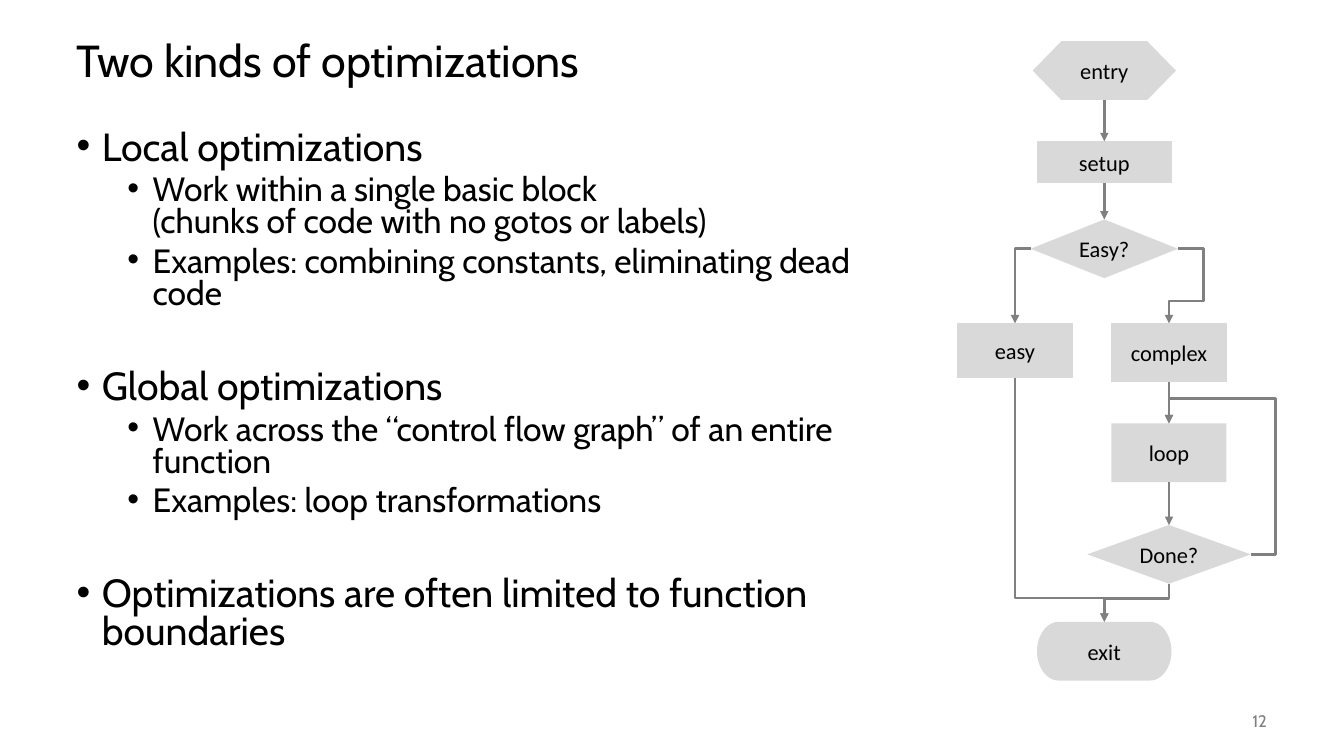
import pptx
import pptx.dml.color
import pptx.enum.shapes
import pptx.enum.text
import pptx.oxml
import pptx.oxml.ns
import pptx.util
from dataclasses import dataclass

Cm = pptx.util.Cm
Pt = pptx.util.Pt
qn = pptx.oxml.ns.qn
RGB = pptx.dml.color.RGBColor.from_string
Align = pptx.enum.text.PP_ALIGN
Anchor = pptx.enum.text.MSO_ANCHOR
Shape = pptx.enum.shapes.MSO_SHAPE
Connector = pptx.enum.shapes.MSO_CONNECTOR


@dataclass(frozen=True)
class Theme:
    text: str = "000000"
    node: str = "D9D9D9"
    line: str = "808080"
    font: str = "Cabin"
    node_font: str = "Calibri"
    title_size: int = 32
    topic_size: int = 28
    detail_size: int = 24
    node_size: int = 16
    number_size: int = 12
    line_width: int = 2


theme = Theme()
TOP, LEFT, BOTTOM, RIGHT = range(4)

presentation = pptx.Presentation()
presentation.slide_width = Cm(33.87)
presentation.slide_height = Cm(19.05)
slide = presentation.slides.add_slide(presentation.slide_layouts[6])


def set_font(paragraph, name, size, color):
    for attribute, value in {"name": name, "size": Pt(size)}.items():
        setattr(paragraph.font, attribute, value)
    paragraph.font.color.rgb = RGB(color)


def style_connector(connector):
    """Give a connector its grey line and arrowhead, and take off its shadow."""
    connector.line.color.rgb = RGB(theme.line)
    connector.line.width = Pt(theme.line_width)
    line = connector.line._ln
    line.append(line.makeelement(qn("a:tailEnd"), {"type": "triangle"}))
    properties = connector._element.spPr
    properties.append(properties.makeelement(qn("a:effectLst"), {}))


# Title and slide number
labels = [
    ("Two kinds of optimizations", (1.68, 0.64, 30.48, 1.9),
     theme.title_size, theme.text, {"line_spacing": 0.9}),
    ("12", (29.64, 17.65, 2.54, 1.02),
     theme.number_size, theme.line, {"alignment": Align.RIGHT}),
]
for text, box, size, color, formats in labels:
    frame = slide.shapes.add_textbox(*map(Cm, box)).text_frame
    frame.word_wrap = True
    frame.vertical_anchor = Anchor.MIDDLE
    paragraph = frame.paragraphs[0]
    paragraph.text = text
    for attribute, value in formats.items():
        setattr(paragraph, attribute, value)
    set_font(paragraph, theme.font, size, color)

# Bulleted text: level, space before, text
bullets = [
    (0, 0, "Local optimizations"),
    (1, 5, "Work within a single basic block\v(chunks of code with no gotos or labels)"),
    (1, 5, "Examples: combining constants, eliminating dead code"),
    (0, 42, "Global optimizations"),
    (1, 5, "Work across the “control flow graph” of an entire function"),
    (1, 5, "Examples: loop transformations"),
    (0, 42, "Optimizations are often limited to function boundaries"),
]
indent = Cm(0.64)
body = slide.shapes.add_textbox(Cm(1.68), Cm(3.18), Cm(21.59), Cm(13.97)).text_frame
body.word_wrap = True
for index, (level, space, text) in enumerate(bullets):
    paragraph = body.add_paragraph() if index else body.paragraphs[0]
    paragraph.text = text
    properties = paragraph._p.get_or_add_pPr()
    properties.set("marL", str(indent * (1 + 2 * level)))
    properties.set("indent", str(-indent))
    properties.append(properties.makeelement(qn("a:buFont"), {"typeface": "Arial"}))
    properties.append(properties.makeelement(qn("a:buChar"), {"char": "•"}))
    formats = {"level": level, "line_spacing": 0.8, "space_before": Pt(space)}
    for attribute, value in formats.items():
        setattr(paragraph, attribute, value)
    size = theme.detail_size if level else theme.topic_size
    set_font(paragraph, theme.font, size, theme.text)

# Flowchart nodes: text, preset, column centre, top, width, height
main, left_branch, right_branch = 27.83, 25.58, 29.46
nodes = [
    ("entry", Shape.FLOWCHART_PREPARATION, main, 1.04, 3.61, 1.48),
    ("setup", Shape.FLOWCHART_PROCESS, main, 3.56, 3.39, 1.06),
    ("Easy?", Shape.FLOWCHART_DECISION, main, 5.53, 3.71, 1.48),
    ("easy", Shape.FLOWCHART_PROCESS, left_branch, 8.15, 2.9, 1.38),
    ("complex", Shape.FLOWCHART_PROCESS, right_branch, 8.15, 2.9, 1.48),
    ("loop", Shape.RECTANGLE, right_branch, 10.67, 2.9, 1.48),
    ("Done?", Shape.FLOWCHART_DECISION, right_branch, 13.23, 4.12, 1.48),
    ("exit", Shape.FLOWCHART_TERMINATOR, main, 15.67, 3.39, 1.48),
]
node_shapes = {}
for text, preset, centre, top, width, height in nodes:
    shape = slide.shapes.add_shape(
        preset, Cm(centre - width / 2), Cm(top), Cm(width), Cm(height))
    shape.shadow.inherit = False
    shape.fill.solid()
    shape.fill.fore_color.rgb = RGB(theme.node)
    shape.line.fill.background()
    frame = shape.text_frame
    frame.word_wrap = False
    frame.vertical_anchor = Anchor.MIDDLE
    paragraph = frame.paragraphs[0]
    paragraph.text = text
    paragraph.alignment = Align.CENTER
    set_font(paragraph, theme.node_font, theme.node_size, theme.text)
    node_shapes[text] = shape

# Straight arrows run from the bottom of one node to the top of the next
for start, end in [("entry", "setup"), ("setup", "Easy?"),
                   ("complex", "loop"), ("loop", "Done?")]:
    connector = slide.shapes.add_connector(Connector.STRAIGHT, 0, 0, 0, 0)
    connector.begin_connect(node_shapes[start], BOTTOM)
    connector.end_connect(node_shapes[end], TOP)
    style_connector(connector)

# Bent arrows end on top of a node: start, side, end, rotation, flips, bends
elbows = [
    ("Easy?", LEFT, "easy", 180, ["flipV"], []),
    ("easy", BOTTOM, "exit", 270, ["flipH"], [90200]),
    ("Done?", BOTTOM, "exit", 90, [], [38400]),
    ("Done?", RIGHT, "loop", 0, ["flipH", "flipV"], [-30800, 119200]),
    ("Easy?", RIGHT, "complex", 0, ["flipH"], [-282800, 69900]),
]
for start, side, end, rotation, flips, bends in elbows:
    source, target = node_shapes[start], node_shapes[end]
    across, down = {LEFT: (0, 1), BOTTOM: (1, 2), RIGHT: (2, 1)}[side]
    start_x = source.left + source.width * across // 2
    start_y = source.top + source.height * down // 2
    end_x, end_y = target.left + target.width // 2, target.top
    width, height = abs(end_x - start_x), abs(end_y - start_y)
    if rotation in (90, 270):
        width, height = height, width
    left = (start_x + end_x - width) // 2
    top = (start_y + end_y - height) // 2
    connector = slide.shapes.add_connector(
        Connector.ELBOW, left, top, left + width, top + height)
    properties = connector._element.spPr
    transform = properties.find(qn("a:xfrm"))
    transform.set("rot", str(rotation * 60000))
    for flip in flips:
        transform.set(flip, "1")
    geometry = properties.find(qn("a:prstGeom"))
    geometry.set("prst", f"bentConnector{len(bends) + 2}")
    guides = geometry.find(qn("a:avLst"))
    for number, bend in enumerate(bends, 1):
        guide = {"name": f"adj{number}", "fmla": f"val {bend}"}
        guides.append(guides.makeelement(qn("a:gd"), guide))
    style_connector(connector)

presentation.save("out.pptx")
